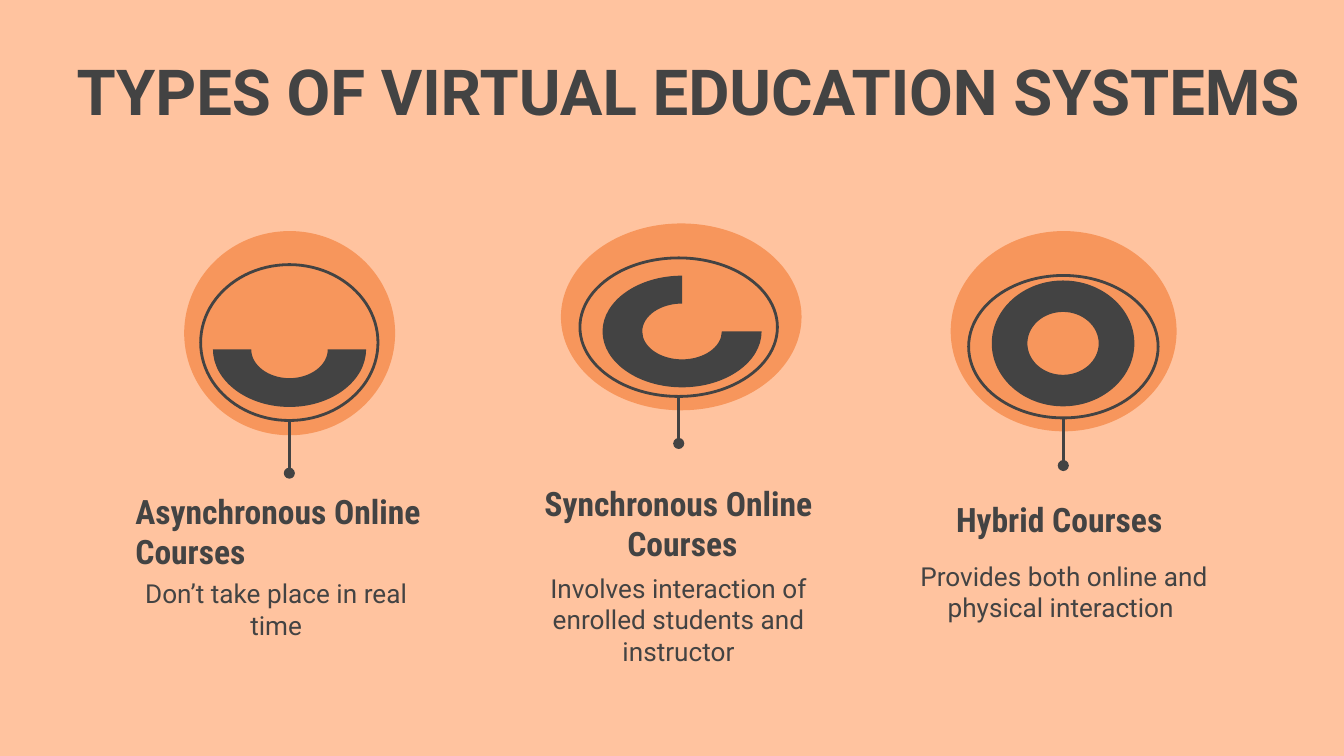
from lxml.etree import SubElement
from pptx import Presentation
from pptx.dml.color import RGBColor
from pptx.enum.shapes import MSO_CONNECTOR as Line, MSO_SHAPE as Shape
from pptx.enum.text import MSO_ANCHOR as Anchor, PP_ALIGN as Align
from pptx.oxml.ns import qn
from pptx.util import Pt

PEACH = RGBColor(0xFF, 0xC3, 0x9F)
ORANGE = RGBColor(0xF7, 0x96, 0x5C)
GREY = RGBColor(0x43, 0x43, 0x43)
BEND = 0.55
AXES = [(1, 0), (0, 1), (-1, 0), (0, -1)]

TITLE = "TYPES OF VIRTUAL EDUCATION SYSTEMS"
TYPES = [
    dict(head=["Asynchronous Online Courses"], align=Align.LEFT,
         body="Don’t take place in real time", dents=(0.9, 0.9),
         disc=(98.7, 123.8, 113, 109.4), oval=(107.5, 141.8, 95, 83.5),
         ring=(155.1, 187.2, 41, 30.8), turns=2, stem=28.2,
         top=(71.6, 281.5, 179.3, 24.5), low=(66.2, 308.9, 162.7, 43.2)),
    dict(head=["Synchronous Online", " Courses"], align=Align.CENTER,
         body="Involves interaction of enrolled students and instructor",
         dents=(0, 0),
         disc=(300.5, 119.7, 128.9, 100.1), oval=(310.7, 138.2, 105.8, 74.2),
         ring=(365.4, 177.6, 42.6, 29.9), turns=3, stem=25.2,
         top=(278.9, 262.8, 169.2, 38.9), low=(278.9, 306, 169.2, 45.4)),
    dict(head=["Hybrid Courses "], align=Align.CENTER,
         body="Provides both online and physical interaction ",
         dents=(0, 0.9),
         disc=(509.3, 123.8, 121, 107.3), oval=(518.9, 147.6, 101.5, 76.3),
         ring=(569.5, 184, 38.2, 33.7), turns=4, stem=25.5,
         top=(488.2, 266.4, 162.7, 22.3), low=(488.2, 299.5, 162.7, 38.9)),
]

deck = Presentation()
deck.slide_width, deck.slide_height = Pt(720), Pt(405)
slide = deck.slides.add_slide(deck.slide_layouts[5])
slide.background.fill.solid()
slide.background.fill.fore_color.rgb = PEACH
shapes = slide.shapes


def points(box):
    return [Pt(n) for n in box]


def paint(shape, color):
    shape.shadow.inherit = False
    shape.fill.solid()
    shape.fill.fore_color.rgb = color
    shape.line.fill.background()


def write(shape, lines, font, size, bold, align, anchor, inset=0.72, dent=0):
    frame = shape.text_frame
    frame.word_wrap = True
    frame.vertical_anchor = anchor
    frame.margin_left = frame.margin_right = frame.margin_bottom = 0
    frame.margin_top = Pt(inset)
    for i, line in enumerate(lines):
        para = frame.add_paragraph() if i else frame.paragraphs[0]
        para.alignment = align
        if dent:
            para._p.get_or_add_pPr().set("marL", str(Pt(dent)))
        run = para.add_run()
        run.text = line
        run.font.name, run.font.size, run.font.bold = font, Pt(size), bold
        run.font.color.rgb = GREY


def add_disc(box):
    paint(shapes.add_shape(Shape.OVAL, *points(box)), ORANGE)


def add_oval(box):
    oval = shapes.add_shape(Shape.OVAL, *points(box))
    oval.shadow.inherit = False
    oval.fill.background()
    oval.line.color.rgb, oval.line.width = GREY, Pt(1.5)


def add_stem(box, length):
    left, top, width, height = box
    x, y = left + width / 2, top + height
    stem = shapes.add_connector(Line.STRAIGHT, *points((x, y, x, y + length)))
    stem.line.color.rgb, stem.line.width = GREY, Pt(1.5)
    SubElement(stem.line._get_or_add_ln(), qn("a:tailEnd"), type="oval")
    SubElement(stem._element.spPr, qn("a:effectLst"))


def add_ring(ring, turns):
    x, y, wide, high = ring

    def arc(part):
        spots = [AXES[0]]
        for i in range(turns):
            (a, b), (c, d) = AXES[i], AXES[(i + 1) % 4]
            spots += [(a + BEND * c, b + BEND * d),
                      (c + BEND * a, d + BEND * b), (c, d)]
        return [(Pt(x + part * wide * u), Pt(y + part * high * v))
                for u, v in spots]

    outer, inner = arc(1), arc(0.5)[::-1]
    pen = shapes.build_freeform(*outer[0])
    if turns == 4:
        pen.add_line_segments(outer[1:], close=True)
        pen.move_to(*inner[0])
        pen.add_line_segments(inner[1:], close=True)
    else:
        pen.add_line_segments(outer[1:] + inner, close=True)
    shape = pen.convert_to_shape()
    paint(shape, GREY)
    steps = list(shape._element.iter(qn("a:lnTo")))
    count = 3 * turns
    curved = steps[:count] + steps[-count:]
    for i in range(0, len(curved), 3):
        first = curved[i]
        curve = first.makeelement(qn("a:cubicBezTo"))
        first.addprevious(curve)
        for step in curved[i:i + 3]:
            curve.append(step[0])
            step.getparent().remove(step)


title = shapes.title
title.left, title.top, title.width, title.height = points((32.2, 37, 673.2, 31.7))
write(title, [TITLE], "Roboto", 34, True, Align.CENTER, Anchor.BOTTOM, inset=0)

for kind in TYPES:
    add_disc(kind["disc"])
    add_oval(kind["oval"])
    add_ring(kind["ring"], kind["turns"])
    add_stem(kind["oval"], kind["stem"])
    high, low = kind["dents"]
    write(shapes.add_textbox(*points(kind["low"])), [kind["body"]],
          "Roboto", 14, False, Align.CENTER, Anchor.TOP, dent=low)
    write(shapes.add_textbox(*points(kind["top"])), kind["head"],
          "Roboto Condensed", 18, True, kind["align"], Anchor.BOTTOM, dent=high)

deck.save("out.pptx")
